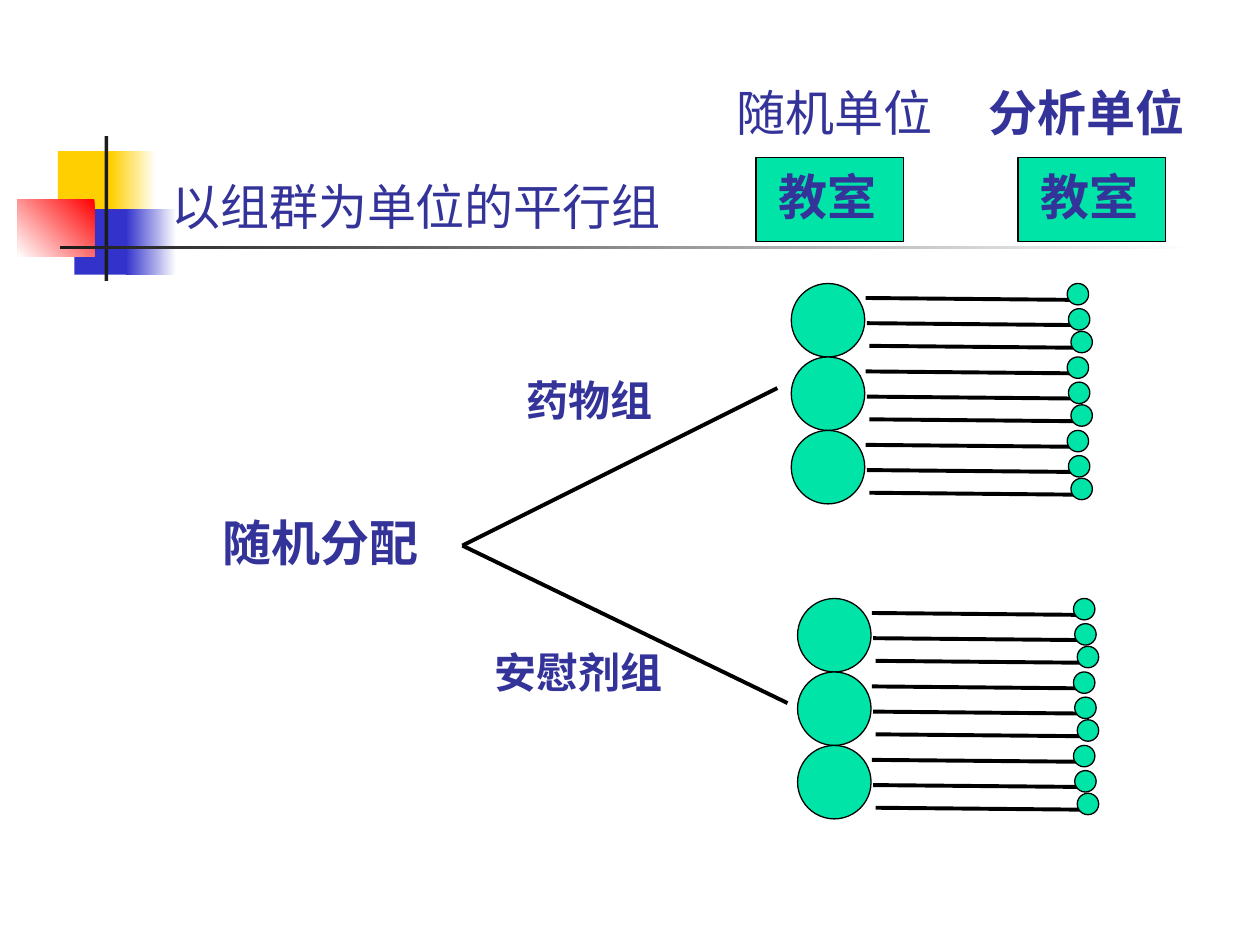
from lxml import etree
from pptx import Presentation
from pptx.dml.color import RGBColor
from pptx.enum import shapes, text
from pptx.oxml.ns import qn
from pptx.util import Inches, Pt

FONT = "Roboto"
COLORS = {"text": "333399", "green": "00E4A8", "black": "000000", "white": "FFFFFF",
          "yellow": "FFCF01", "blue": "3333CC", "red": "FF0000", "dark": "1C1C1C"}

# left, top, width, height, colours (one is solid, two a gradient), clockwise angle
DECORATION = [
    (0.46, 1.2, 0.48, 0.52, ["yellow"], 0),
    (0.88, 1.2, 0.36, 0.52, ["white", "yellow"], 180),
    (0.59, 1.66, 0.46, 0.52, ["blue"], 0),
    (1, 1.66, 0.4, 0.52, ["white", "blue"], 180),
    (0.14, 1.58, 0.61, 0.46, ["red", "white"], 135),
    (0.83, 1.08, 0.03, 1.15, ["dark"], 0),
    (0.48, 1.95, 9, 0.03, ["white", "dark"], 180),
]
TITLE = ("以组群为单位的平行组", 1.26, 1.33, 4.16, 28, False)
# text, left, top, width, size, bold
LABELS = [
    ("随机单位", 5.75, 0.58, 1.83, 28, False),
    ("分析单位", 7.75, 0.58, 1.83, 28, True),
    ("药物组", 4.08, 2.83, 1.75, 24, True),
    ("安慰剂组", 3.83, 4.99, 1.75, 24, True),
    ("随机分配", 1.67, 3.99, 2.17, 28, True),
]
LABEL_H = 0.59
UNIT, UNIT_TOP, UNIT_LEFTS = "教室", 1.25, [8.08, 6]
FORK = (3.67, 4.33)
BRANCH_ENDS = [(6.17, 3.08), (6.25, 5.58)]
CLUSTERS = [(6.28, 2.25), (6.33, 4.75)]
ROOMS, ROOM_D, PUPIL_D = 3, 0.583, 0.17
PUPILS = [(2.2, 0.2), (2.19, 0), (2.22, 0.38)]  # offsets from their classroom


def rgb(name):
    return RGBColor.from_string(COLORS[name])


def add_shape(s, kind, left, top, width, height, fills, angle=0, outlined=True):
    sp = s.shapes.add_shape(kind, *map(Inches, (left, top, width, height)))
    sp.shadow.inherit = False
    if len(fills) == 1:
        sp.fill.solid()
        sp.fill.fore_color.rgb = rgb(fills[0])
    else:
        sp.fill.gradient()
        sp.fill.gradient_angle = 360 - angle
        for stop, name in zip(sp.fill.gradient_stops, fills):
            stop.color.rgb = rgb(name)
    if outlined:
        sp.line.color.rgb = rgb("black")
        sp.line.width = Pt(0.75)
    else:
        sp.line.fill.background()


def add_line(s, start, end):
    cx = s.shapes.add_connector(shapes.MSO_CONNECTOR.STRAIGHT, *map(Inches, start + end))
    cx.line.color.rgb = rgb("black")
    cx.line.width = Pt(2.25)
    etree.SubElement(cx.element.spPr, qn("a:effectLst"))


def write_label(sp, words, left, top, width, size, bold):
    sp.left, sp.top, sp.width, sp.height = map(Inches, (left, top, width, LABEL_H))
    tf = sp.text_frame
    tf.word_wrap = True
    tf.auto_size = text.MSO_AUTO_SIZE.NONE
    tf.vertical_anchor = text.MSO_ANCHOR.BOTTOM
    p = tf.paragraphs[0]
    p.alignment = text.PP_ALIGN.LEFT
    r = p.add_run()
    r.text = words
    r.font.name, r.font.size, r.font.bold = FONT, Pt(size), bold
    r.font.color.rgb = rgb("text")


def add_label(s, *label):
    write_label(s.shapes.add_textbox(0, 0, 0, 0), *label)


def add_cluster(s, left, top):
    """Stack the classrooms, each joined by lines to its pupils."""
    oval = shapes.MSO_SHAPE.OVAL
    for i in range(ROOMS):
        y = top + i * ROOM_D
        add_shape(s, oval, left, y, ROOM_D, ROOM_D, ["green"])
        for dx, dy in PUPILS:
            px, py = left + dx, y + dy
            add_line(s, (px - 1.6, py + 0.115), (px + 0.05, py + 0.13))
            add_shape(s, oval, px, py, PUPIL_D, PUPIL_D, ["green"])


def main():
    prs = Presentation()
    prs.slide_width, prs.slide_height = Inches(10), Inches(7.5)
    s = prs.slides.add_slide(prs.slide_layouts[5])
    rect = shapes.MSO_SHAPE.RECTANGLE

    for *box, fills, angle in DECORATION:
        add_shape(s, rect, *box, fills, angle, outlined=False)
    title = s.shapes.title
    write_label(title, *TITLE)
    title.element.getparent().append(title.element)  # in front of the decoration

    for label in LABELS:
        add_label(s, *label)
    for left in UNIT_LEFTS:
        add_shape(s, rect, left, UNIT_TOP, 1.17, 0.67, ["green"])
        add_label(s, UNIT, left + 0.08, UNIT_TOP, 1.83, 28, True)
    for end in BRANCH_ENDS:
        add_line(s, FORK, end)
    for left, top in CLUSTERS:
        add_cluster(s, left, top)

    prs.save("out.pptx")


if __name__ == "__main__":
    main()
